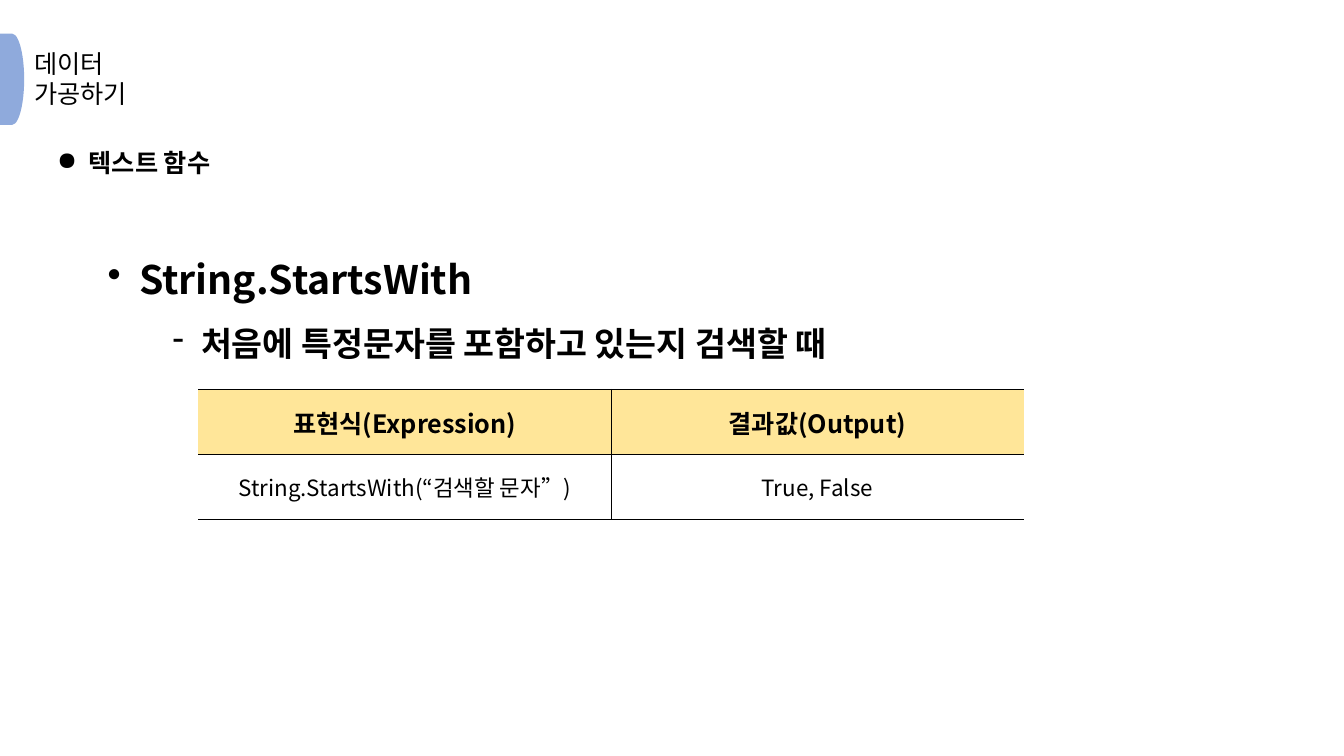
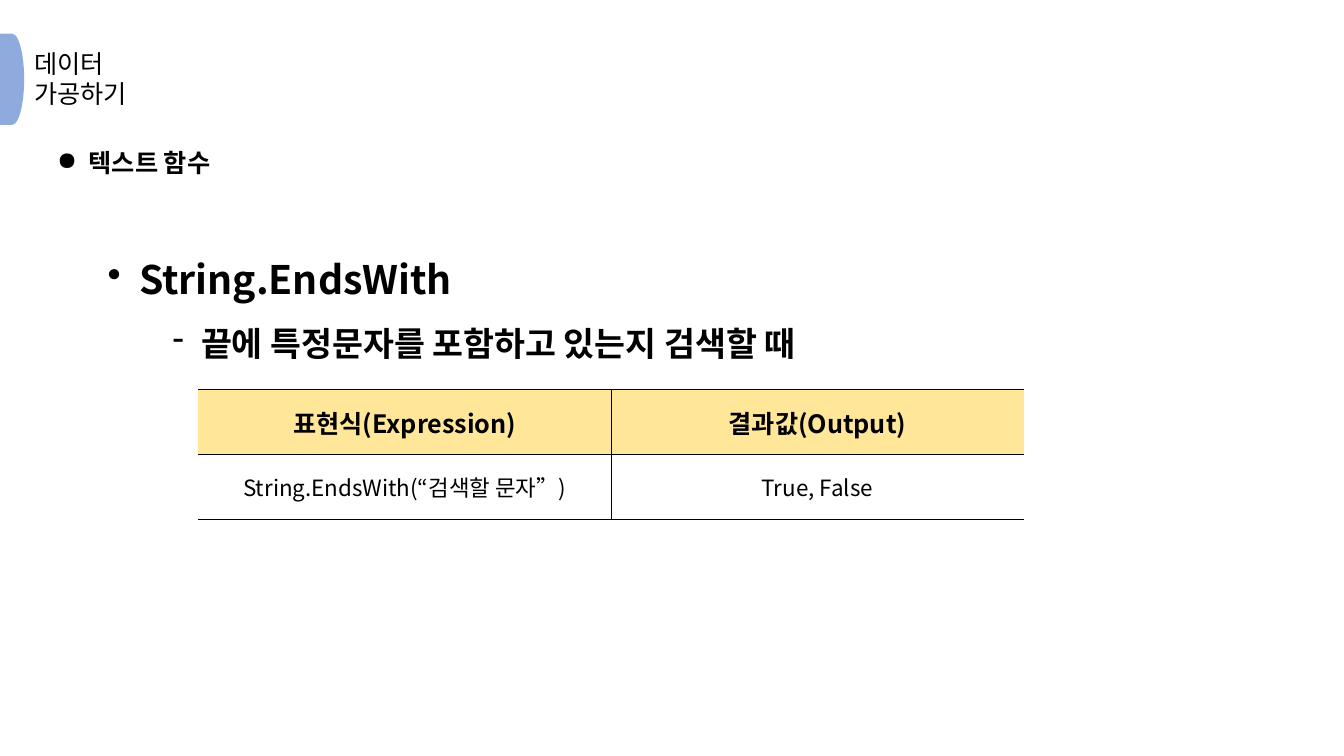
from dataclasses import dataclass

from lxml.etree import SubElement
from pptx import Presentation
from pptx.dml.color import RGBColor
from pptx.enum.shapes import MSO_SHAPE
from pptx.enum.text import MSO_ANCHOR, PP_ALIGN
from pptx.oxml.ns import qn
from pptx.slide import Slide
from pptx.table import _Cell
from pptx.text.text import TextFrame, _Paragraph
from pptx.util import Emu, Pt

EMU_PER_PX = 9525


@dataclass(frozen=True)
class Theme:
    font: str = "Noto Sans CJK KR"
    ink: str = "000000"
    accent: str = "8FAADC"
    header_fill: str = "FFE699"
    base_size: int = 18
    function_size: int = 28
    purpose_size: int = 24
    body_size: int = 16
    border_pt: int = 1


@dataclass(frozen=True)
class Bullet:
    mark: str
    size: int
    left: int
    hanging: int
    gap_before: int = 0


@dataclass(frozen=True)
class FunctionPage:
    function: str
    purpose: str


THEME = Theme()
CHAPTER = "데이터\n가공하기"
TOPIC = "텍스트 함수"
TABLE_HEADERS = ("표현식(Expression)", "결과값(Output)")
OUTPUT = "True, False"
OUTLINE = (
    Bullet("●", THEME.base_size, 30, 30),
    Bullet("•", THEME.function_size, 78, 30, 39),
    Bullet("-", THEME.purpose_size, 137, 27),
)
PAGES = (
    FunctionPage("String.StartsWith", "처음에 특정문자를 포함하고 있는지 검색할 때"),
    FunctionPage("String.EndsWith", "끝에 특정문자를 포함하고 있는지 검색할 때"),
)


def px(length: int) -> Emu:
    return Emu(length * EMU_PER_PX)


def style_paragraph(paragraph: _Paragraph, size: int, bold: bool = False) -> None:
    for run in paragraph.runs:
        run.font.name = THEME.font
        run.font.size = Pt(size)
        run.font.bold = bold
        run.font.color.rgb = RGBColor.from_string(THEME.ink)
        SubElement(run.font._element, qn("a:ea"), typeface=THEME.font)


def add_bullet(paragraph: _Paragraph, bullet: Bullet) -> None:
    paragraph.line_spacing = 1.5
    paragraph.space_before = Pt(bullet.gap_before)
    properties = paragraph._p.get_or_add_pPr()
    properties.set("marL", str(px(bullet.left)))
    properties.set("indent", str(-px(bullet.hanging)))
    SubElement(properties, qn("a:buChar"), char=bullet.mark)


def add_text_frame(slide: Slide, left: int, top: int, width: int, height: int) -> TextFrame:
    frame = slide.shapes.add_textbox(px(left), px(top), px(width), px(height)).text_frame
    frame.word_wrap = True
    return frame


def draw_chapter(slide: Slide) -> None:
    chapter = add_text_frame(slide, 23, 41, 120, 68)
    chapter.vertical_anchor = MSO_ANCHOR.MIDDLE
    chapter.text = CHAPTER
    for paragraph in chapter.paragraphs:
        style_paragraph(paragraph, THEME.base_size)
    tab = slide.shapes.add_shape(MSO_SHAPE.FLOWCHART_DELAY, px(0), px(32), px(23), px(87))
    tab.shadow.inherit = False
    tab.fill.solid()
    tab.fill.fore_color.rgb = RGBColor.from_string(THEME.accent)
    tab.line.fill.background()


def draw_outline(slide: Slide, page: FunctionPage) -> None:
    outline = add_text_frame(slide, 45, 121, 782, 225)
    outline.text = "\n".join((TOPIC, page.function, page.purpose))
    for paragraph, bullet in zip(outline.paragraphs, OUTLINE):
        add_bullet(paragraph, bullet)
        style_paragraph(paragraph, bullet.size, bold=True)


def set_borders(cell: _Cell, visible: str) -> None:
    properties = cell._tc.get_or_add_tcPr()
    for side in "LRTB":
        border = SubElement(properties, qn(f"a:ln{side}"), w=str(Pt(THEME.border_pt)))
        if side in visible:
            fill = SubElement(border, qn("a:solidFill"))
            SubElement(fill, qn("a:srgbClr"), val=THEME.ink)
        else:
            SubElement(border, qn("a:noFill"))


def draw_table(slide: Slide, page: FunctionPage) -> None:
    rows = (TABLE_HEADERS, (f"{page.function}(“검색할 문자”)", OUTPUT))
    table = slide.shapes.add_table(2, 2, px(189), px(371), px(786), px(124)).table
    table.first_row = False
    table.horz_banding = False
    for row, texts in enumerate(rows):
        is_header = row == 0
        for column, text in enumerate(texts):
            cell = table.cell(row, column)
            cell.text = text
            cell.vertical_anchor = MSO_ANCHOR.MIDDLE
            set_borders(cell, "RTB" if column == 0 else "LTB")
            if is_header:
                cell.fill.solid()
                cell.fill.fore_color.rgb = RGBColor.from_string(THEME.header_fill)
            else:
                cell.fill.background()
            paragraph = cell.text_frame.paragraphs[0]
            paragraph.alignment = PP_ALIGN.CENTER
            size = THEME.base_size if is_header else THEME.body_size
            style_paragraph(paragraph, size, bold=is_header)


def main() -> None:
    presentation = Presentation()
    presentation.slide_width = px(1280)
    presentation.slide_height = px(720)
    for page in PAGES:
        slide = presentation.slides.add_slide(presentation.slide_layouts[6])
        draw_chapter(slide)
        draw_outline(slide, page)
        draw_table(slide, page)
    presentation.save("out.pptx")


if __name__ == "__main__":
    main()
